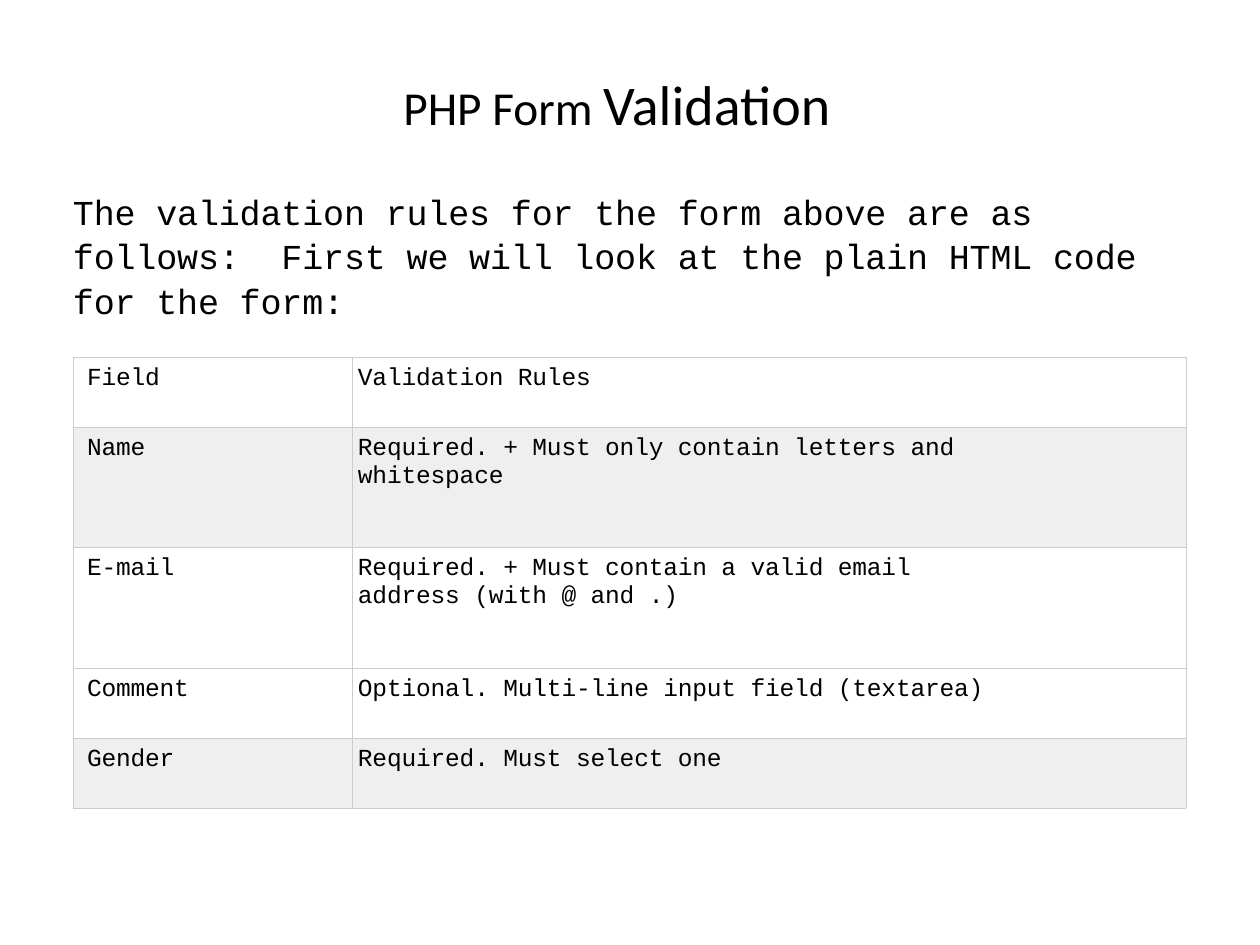
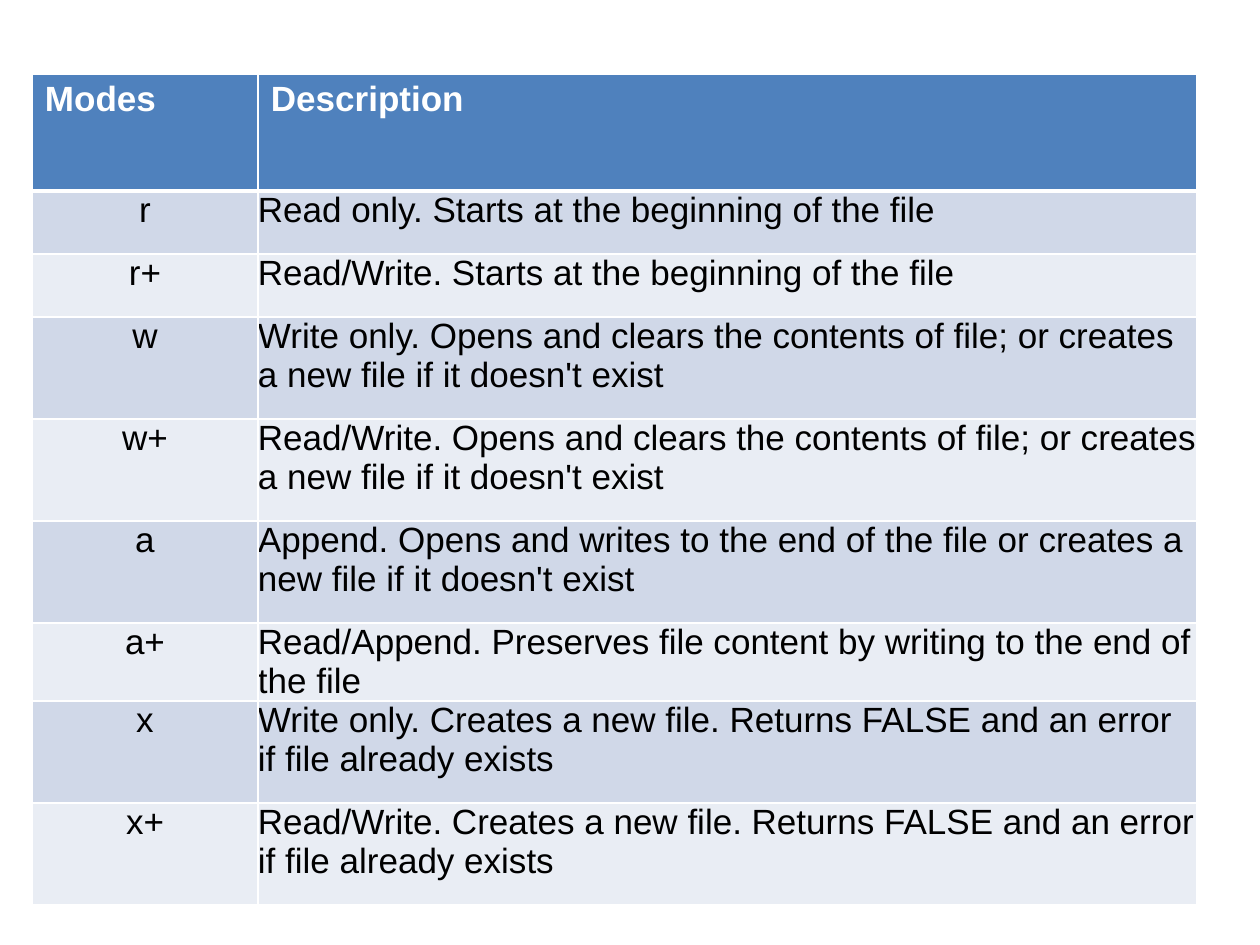
from dataclasses import dataclass

from lxml.etree import SubElement
from pptx import Presentation
from pptx.dml.color import RGBColor
from pptx.enum.text import MSO_ANCHOR, MSO_AUTO_SIZE, PP_ALIGN
from pptx.oxml.ns import qn
from pptx.util import Emu, Inches, Pt

PX_PER_INCH = 126
TITLE_ONLY, BLANK = 5, 6


def px(n):
    return Emu(round(n * Inches(1) / PX_PER_INCH))


@dataclass(frozen=True)
class Type:
    font: str
    size: int
    color: str = "000000"
    bold: bool = False
    spacing: int = 0  # hundredths of a point


@dataclass(frozen=True)
class Theme:
    title: Type = Type("Calibri", 32)
    title_small: int = 27
    intro: Type = Type("Courier New", 20, spacing=-10)
    rule: Type = Type("Courier New", 14, spacing=-10)
    mode: Type = Type("Arial", 20)
    mode_head: Type = Type("Arial", 20, "FFFFFF", True)
    white: str = "FFFFFF"
    grid: str = "CCCCCC"
    gray: str = "EFEFEF"
    blue: str = "4F81BD"
    band_dark: str = "D0D8E8"
    band_light: str = "E9EDF4"


@dataclass(frozen=True)
class CellStyle:
    type: Type
    fill: str | None = None
    align: PP_ALIGN = PP_ALIGN.LEFT
    margins: tuple = (0, 0, 0, 0)  # left, top, right, bottom
    first_line: float | None = None  # points
    border: str = "FFFFFF"
    top: float = 1
    side: float = 1
    bottom: float = 1


class Deck:
    def __init__(self, theme):
        self.theme = theme
        self.prs = Presentation()
        self.prs.slide_width, self.prs.slide_height = Inches(10), Inches(7.5)
        self.slide = None

    def add_slide(self, layout):
        self.slide = self.prs.slides.add_slide(self.prs.slide_layouts[layout])

    def format(self, p, style, align=PP_ALIGN.LEFT):
        p.alignment = align
        p.space_before = Pt(0)
        font = p.font
        font.name, font.size, font.bold = style.font, Pt(style.size), style.bold
        font.color.rgb = RGBColor.from_string(style.color)
        if style.spacing:
            p._p.pPr.find(qn("a:defRPr")).set("spc", str(style.spacing))

    def frame(self, sp, anchor):
        tf = sp.text_frame
        tf.word_wrap, tf.auto_size = True, MSO_AUTO_SIZE.NONE
        tf.vertical_anchor = anchor
        tf.margin_left = tf.margin_right = tf.margin_bottom = 0
        tf.margin_top = px(1)
        return tf

    def title(self, small, large, left, top, width, height):
        """Fill the title with a smaller opening and a full-size ending."""
        sp = self.slide.shapes.title
        sp.left, sp.top, sp.width, sp.height = map(px, (left, top, width, height))
        p = self.frame(sp, MSO_ANCHOR.MIDDLE).paragraphs[0]
        for text, size in ((small, self.theme.title_small), (large, self.theme.title.size)):
            r = p.add_run()
            r.text, r.font.size = text, Pt(size)
        self.format(p, self.theme.title, PP_ALIGN.CENTER)

    def text(self, text, style, left, top, width, height, line_spacing):
        sp = self.slide.shapes.add_textbox(*map(px, (left, top, width, height)))
        p = self.frame(sp, MSO_ANCHOR.TOP).paragraphs[0]
        p.text, p.line_spacing = text, line_spacing
        self.format(p, style)

    def borders(self, cell, style):
        tc_pr = cell._tc.get_or_add_tcPr()
        widths = {"L": style.side, "R": style.side, "T": style.top, "B": style.bottom}
        for side, width in widths.items():
            ln = SubElement(tc_pr, qn(f"a:ln{side}"), w=str(Pt(width)))
            SubElement(SubElement(ln, qn("a:solidFill")), qn("a:srgbClr"), val=style.border)

    def cell(self, cell, text, style):
        self.borders(cell, style)
        if style.fill:
            cell.fill.solid()
            cell.fill.fore_color.rgb = RGBColor.from_string(style.fill)
        else:
            cell.fill.background()
        (cell.margin_left, cell.margin_top,
         cell.margin_right, cell.margin_bottom) = map(px, style.margins)
        cell.text = text
        for p in cell.text_frame.paragraphs:
            self.format(p, style.type, style.align)
        if style.first_line:
            cell.text_frame.paragraphs[0].line_spacing = Pt(style.first_line)

    def table(self, rows, left, top, col_widths, row_heights, style_of):
        """Build a table; style_of(row, column) gives each cell's style."""
        table = self.slide.shapes.add_table(
            len(rows), len(col_widths),
            *map(px, (left, top, sum(col_widths), sum(row_heights)))).table
        table.horz_banding = False
        for column, width in zip(table.columns, col_widths):
            column.width = px(width)
        for i, (row, height) in enumerate(zip(rows, row_heights)):
            table.rows[i].height = px(height)
            for j, text in enumerate(row):
                self.cell(table.cell(i, j), text, style_of(i, j))


RULES = [
    ("Field", "Validation Rules"),
    ("Name", "Required. + Must only contain letters and\nwhitespace"),
    ("E-mail", "Required. + Must contain a valid email\naddress (with @ and .)"),
    ("Comment", "Optional. Multi-line input field (textarea)"),
    ("Gender", "Required. Must select one"),
]

MODES = [
    ("Modes", "Description"),
    ("r", "Read only. Starts at the beginning of the file"),
    ("r+", "Read/Write. Starts at the beginning of the file"),
    ("w", "Write only. Opens and clears the contents of file; "
          "or creates a new file if it doesn't exist"),
    ("w+", "Read/Write. Opens and clears the contents of file; "
           "or creates a new file if it doesn't exist"),
    ("a", "Append. Opens and writes to the end of the file "
          "or creates a new file if it doesn't exist"),
    ("a+", "Read/Append. Preserves file content by writing to the end of the file"),
    ("x", "Write only. Creates a new file. Returns FALSE and an error "
          "if file already exists"),
    ("x+", "Read/Write. Creates a new file. Returns FALSE and an error "
           "if file already exists"),
]


def validation_slide(deck):
    theme = deck.theme
    shaded_rows = (1, 4)

    def rule_style(i, j):
        return CellStyle(
            theme.rule, theme.gray if i in shaded_rows else None,
            margins=(6 if j else 14, 0, 0, 0), first_line=20.6,
            border=theme.grid, top=0.5, side=0.5, bottom=0.5)

    deck.add_slide(TITLE_ONLY)
    deck.title("PHP Form ", "Validation", 110, 68, 1014, 70)
    deck.table(RULES, 73, 357, (279, 834), (70, 120, 121, 70, 70), rule_style)
    deck.text("The validation rules for the form above are as follows:  First we will "
              "look at the plain HTML code for the form:",
              theme.intro, 73, 187, 1144, 128, 1.06)


def modes_slide(deck):
    theme = deck.theme
    head_rule = 3

    def mode_style(i, j):
        if i == 0:
            return CellStyle(theme.mode_head, theme.blue, margins=(13, 6, 13, 6),
                             border=theme.white, bottom=head_rule)
        return CellStyle(
            theme.mode, theme.band_dark if i % 2 else theme.band_light,
            PP_ALIGN.LEFT if j else PP_ALIGN.CENTER,
            border=theme.white, top=head_rule if i == 1 else 1)

    one_line, two_lines, tight = 63, 102, 78
    heights = (117, *[one_line] * 2, *[two_lines] * 3, tight, *[two_lines] * 2)
    deck.add_slide(BLANK)
    deck.table(MODES, 32, 74, (226, 939), heights, mode_style)


def main():
    deck = Deck(Theme())
    validation_slide(deck)
    modes_slide(deck)
    deck.prs.save("out.pptx")


if __name__ == "__main__":
    main()
